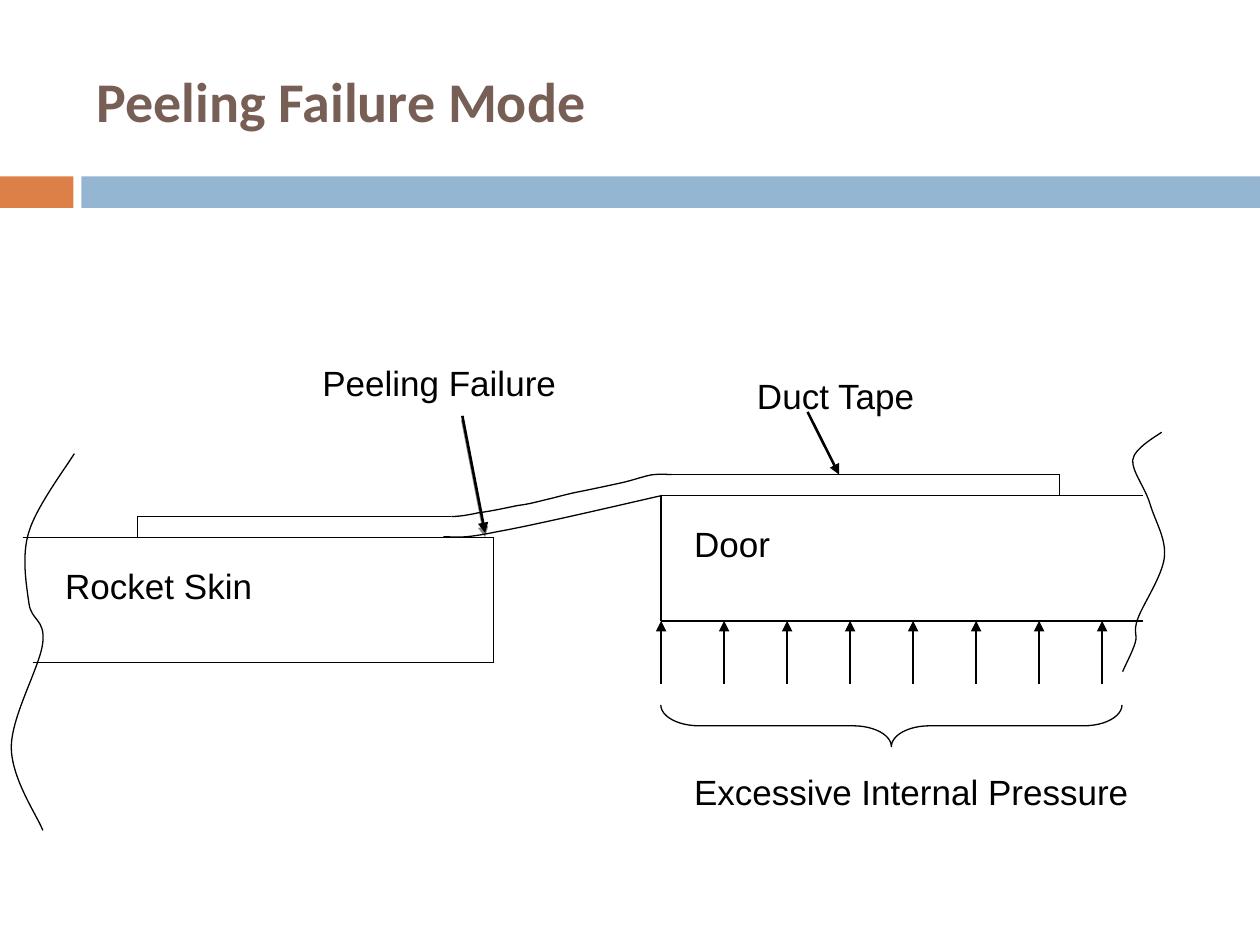
from typing import NamedTuple

from lxml import etree
from pptx import Presentation
from pptx.dml.color import RGBColor
from pptx.enum.shapes import MSO_CONNECTOR, MSO_SHAPE
from pptx.enum.text import MSO_ANCHOR, MSO_AUTO_SIZE, PP_ALIGN
from pptx.oxml.ns import qn
from pptx.util import Pt

STRAIGHT = MSO_CONNECTOR.STRAIGHT
RECTANGLE = MSO_SHAPE.RECTANGLE
LEFT_BRACE = MSO_SHAPE.LEFT_BRACE
MIDDLE = MSO_ANCHOR.MIDDLE
NO_AUTOFIT = MSO_AUTO_SIZE.NONE
LEFT, JUSTIFY = PP_ALIGN.LEFT, PP_ALIGN.JUSTIFY

COLORS = {"title": "775F55", "accent": "DD8047", "band": "94B6D2", "ink": "000000"}
TITLE_ONLY_LAYOUT = 5
THIN, THICK = 0.75, 1.5
LABEL_HEIGHT = 31.7

SKIN_TOP, SKIN_BOTTOM, SKIN_RIGHT = 307.3, 378.7, 282.2
DOOR_TOP, DOOR_BOTTOM, DOOR_LEFT, DOOR_RIGHT = 283.1, 354.8, 377.8, 653
TAPE_LEFT, TAPE_RIGHT = 78.5, 605.6
TAPE_LOW, TAPE_HIGH = 295.2, 271.2
PRESSURE_COUNT, PRESSURE_GAP, PRESSURE_TAIL = 8, 36, 391


class Line(NamedTuple):
    x1: float
    y1: float
    x2: float
    y2: float
    width: float = THIN
    arrow: bool = False
    shadow: bool = False


class Label(NamedTuple):
    text: str
    left: float
    top: float
    width: float


class Curve(NamedTuple):
    """Start point, then three points for each cubic segment."""
    points: list[tuple[float, float]]


OUTLINES = [
    Line(13, SKIN_TOP, SKIN_RIGHT, SKIN_TOP),
    Line(18.7, SKIN_BOTTOM, SKIN_RIGHT, SKIN_BOTTOM),
    Line(SKIN_RIGHT, SKIN_BOTTOM, SKIN_RIGHT, SKIN_TOP),
    Line(DOOR_LEFT, DOOR_TOP, DOOR_RIGHT, DOOR_TOP),
    Line(DOOR_LEFT, DOOR_BOTTOM, DOOR_RIGHT, DOOR_BOTTOM),
    Line(DOOR_LEFT, DOOR_BOTTOM, DOOR_LEFT, DOOR_TOP),
    Line(TAPE_LEFT, TAPE_LOW, 258, TAPE_LOW),
    Line(TAPE_LEFT, TAPE_LOW, TAPE_LEFT, SKIN_TOP),
    Line(DOOR_LEFT, TAPE_HIGH, TAPE_RIGHT, TAPE_HIGH),
    Line(TAPE_RIGHT, TAPE_HIGH, TAPE_RIGHT, DOOR_TOP),
]
PRESSURE_ARROWS = [
    Line(DOOR_LEFT + i * PRESSURE_GAP, PRESSURE_TAIL,
         DOOR_LEFT + i * PRESSURE_GAP, DOOR_BOTTOM, arrow=True)
    for i in range(PRESSURE_COUNT)
]
POINTERS = [
    Line(264.2, 237.6, 277.2, 304.6, THICK, arrow=True, shadow=True),
    Line(461.5, 235.4, 479.5, TAPE_HIGH, THICK, arrow=True),
]
SKIN_BREAK = Curve([
    (42.5, 259.2), (38.2, 266.4), (20.9, 289.4), (16.6, 303.8),
    (12.2, 317.5), (15.1, 334.1), (16.6, 344.9),
    (18, 355), (25.9, 353.5), (24.5, 367.2),
    (23, 380.9), (6.5, 409), (6.5, 427),
    (6.5, 445), (21.6, 466.6), (24.5, 474.5),
])
DOOR_BREAK = Curve([
    (663.8, 247), (661, 249.1), (648, 256.3), (647.3, 262.8),
    (646.6, 269.3), (654.5, 278.6), (657.4, 288.7),
    (660.2, 298.1), (666.7, 308.2), (665.3, 319),
    (663.8, 329.8), (653, 345.6), (650.2, 353.5),
    (647.3, 361.4), (650.2, 362.2), (648.7, 367.2),
    (647.3, 372.2), (643, 380.2), (641.5, 383.8),
])
TAPE_UNDERSIDE = Curve([
    (378.5, DOOR_TOP), (362.9, 286.6), (305.3, 300.2), (284.4, 303.8),
    (263.5, 308.2), (259.9, 306.7), (253.4, 306.7),
])
TAPE_TOP = Curve([
    (383.8, TAPE_HIGH), (381.6, 271.2), (377.3, 270.7), (372.2, 271.4),
    (367.9, 272.2), (362.2, 274.3), (355.7, 275.8),
    (349.2, 277.2), (339.1, 279.4), (331.9, 280.8),
    (324.7, 282.2), (319.7, 283.7), (313.9, 285.1),
    (307.4, 286.6), (303.1, 288), (295.9, 288.9),
    (289.4, 290.2), (280.1, 292.3), (273.6, 293),
    (267.1, 294.5), (261.4, TAPE_LOW), (258, TAPE_LOW),
])
LABELS = [
    Label("Door", 389.5, 295.2, 323.3),
    Label("Rocket Skin", 30.2, 319, 227.5),
    Label("Peeling Failure", 177.1, 203, 152),
    Label("Duct Tape", 425.5, 210.2, 167.8),
    Label("Excessive Internal Pressure", 389.5, 436.5, 264.5),
]


def color(name: str) -> RGBColor:
    return RGBColor.from_string(COLORS[name])


def draw_line(page, item: Line) -> None:
    ends = (Pt(v) for v in (item.x1, item.y1, item.x2, item.y2))
    connector = page.shapes.add_connector(STRAIGHT, *ends)
    connector.line.color.rgb = color("ink")
    connector.line.width = Pt(item.width)
    properties = connector._element.spPr
    if item.arrow:
        outline = properties.find(qn("a:ln"))
        etree.SubElement(outline, qn("a:tailEnd"), type="triangle")
    effects = etree.SubElement(properties, qn("a:effectLst"))
    if item.shadow:
        shadow = etree.SubElement(effects, qn("a:outerShdw"), blurRad="0",
                                  dist=str(Pt(2.4)), dir="5400000")
        tint = etree.SubElement(shadow, qn("a:srgbClr"), val=COLORS["ink"])
        etree.SubElement(tint, qn("a:alpha"), val="45000")


def style_outline(shape) -> None:
    shape.fill.background()
    shape.line.color.rgb = color("ink")
    shape.line.width = Pt(THIN)
    shape.shadow.inherit = False


def draw_curve(page, curve: Curve) -> None:
    """Build a freeform and merge each three line steps into one cubic curve."""
    points = [(Pt(x), Pt(y)) for x, y in curve.points]
    builder = page.shapes.build_freeform(*points[0])
    builder.add_line_segments(points[1:], close=False)
    shape = builder.convert_to_shape()
    steps = list(shape._element.iter(qn("a:lnTo")))
    for first in range(0, len(steps), 3):
        cubic = etree.Element(qn("a:cubicBezTo"))
        steps[first].addprevious(cubic)
        for step in steps[first:first + 3]:
            cubic.append(step[0])
            step.getparent().remove(step)
    style_outline(shape)


def draw_label(page, label: Label) -> None:
    box = page.shapes.add_textbox(Pt(label.left), Pt(label.top),
                                  Pt(label.width), Pt(LABEL_HEIGHT))
    box.text_frame.word_wrap = True
    para = box.text_frame.paragraphs[0]
    para.text = label.text
    para.alignment = JUSTIFY
    para.font.name = "Arial"
    para.font.size = Pt(20)
    para.font.color.rgb = color("ink")


def draw_band(page, left: float, width: float, fill: str) -> None:
    band = page.shapes.add_shape(RECTANGLE, Pt(left), Pt(100.8), Pt(width), Pt(18))
    band.fill.solid()
    band.fill.fore_color.rgb = color(fill)
    band.line.fill.background()
    band.shadow.inherit = False


def set_title(page, text: str) -> None:
    title = page.shapes.title
    title.left, title.top, title.width, title.height = Pt(48), Pt(18), Pt(642), Pt(78)
    frame = title.text_frame
    frame.auto_size = NO_AUTOFIT
    frame.vertical_anchor = MIDDLE
    para = frame.paragraphs[0]
    para.text = text
    para.alignment = LEFT
    para.font.name = "Calibri"
    para.font.size = Pt(32)
    para.font.bold = True
    para.font.color.rgb = color("title")


def draw_pressure_brace(page) -> None:
    brace = page.shapes.add_shape(LEFT_BRACE, Pt(497.5), Pt(283), Pt(23.8), Pt(263.5))
    brace.rotation = 270
    brace.adjustments[0] = 0.92
    style_outline(brace)


def main() -> None:
    deck = Presentation()
    deck.slide_width, deck.slide_height = Pt(720), Pt(540)
    page = deck.slides.add_slide(deck.slide_layouts[TITLE_ONLY_LAYOUT])
    draw_band(page, 0, 42, "accent")
    draw_band(page, 46.5, 673.5, "band")
    set_title(page, "Peeling Failure Mode")
    for line in OUTLINES + PRESSURE_ARROWS + POINTERS:
        draw_line(page, line)
    for curve in (SKIN_BREAK, DOOR_BREAK, TAPE_UNDERSIDE, TAPE_TOP):
        draw_curve(page, curve)
    for label in LABELS:
        draw_label(page, label)
    draw_pressure_brace(page)
    deck.save("out.pptx")


if __name__ == "__main__":
    main()
